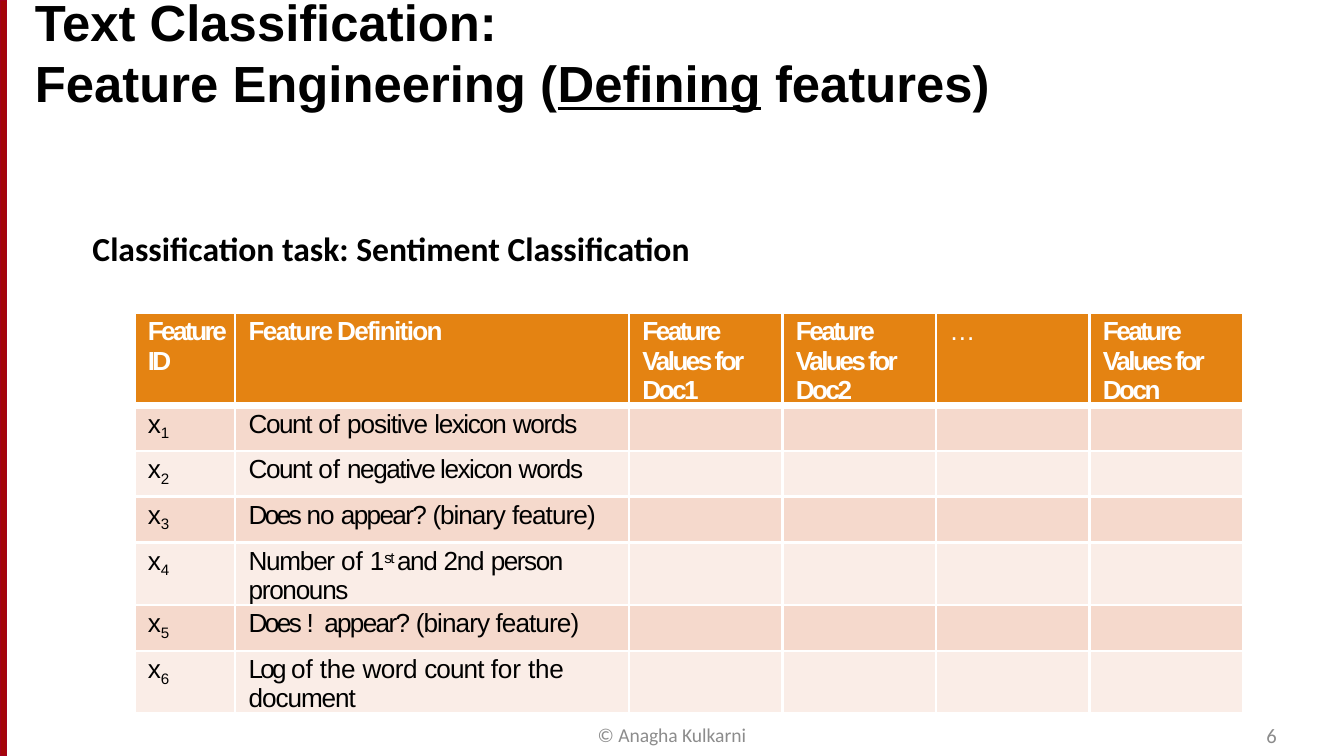
from pptx import Presentation
from pptx.util import Inches, Pt
from pptx.dml.color import RGBColor as Rgb
from pptx.enum.shapes import MSO_CONNECTOR as Link
from pptx.enum.text import MSO_ANCHOR as Anchor, MSO_AUTO_SIZE as Fit, PP_ALIGN as Align
from pptx.oxml.ns import qn
from lxml.etree import SubElement as Sub

WIDE = Inches(10)
HIGH = WIDE * 9 // 16
HEADS = [("Feature ID", -1.4), ("Feature Definition", -0.9),
         ("Feature Values for Doc1", -1.4), ("Feature Values for Doc2", -1.4),
         ("…", 0), ("Feature Values for Docn", -1.4)]
RULES = [
    [("Count ", -0.8), ("of ", -0.1), ("positive ", -0.6), ("lexicon ", -0.8),
     ("words", -0.7)],
    [("Count ", -0.8), ("of ", -0.1), ("negative lexicon ", -0.8), ("words", -0.7)],
    [("Does ", -1.4), ("no ", -0.6), ("appear? ", -0.9), ("(binary ", -0.6),
     ("feature)", -0.5)],
    [("Number ", -0.7), ("of ", -0.1), ("1", -0.6), ("st ", -0.9, 25),
     ("and ", -0.8), ("2nd ", -0.7), ("person ", -0.8), ("pronouns", -0.7)],
    [("Does ", -1.4), ("! ", 0.8), ("appear? ", -0.9), ("(binary feature)", -0.5)],
    [("Log ", -1.5), ("of ", -0.1), ("the ", -0.2), ("word ", -0.3),
     ("count ", -0.5), ("for ", -0.1), ("the ", -0.2), ("document", -0.6)],
]
SPAN = 8.25
WIDTHS = [0.75, 2.93] + [(SPAN - 0.75 - 2.93) / 4] * 4
BANDS = ["F5D9CC", "FAEDE7"]


def tint(code):
    return Rgb.from_string(code)


def add_run(para, text, size, face="Arial", color="000000", bold=False):
    run = para.add_run()
    run.text = text
    font = run.font
    font.size, font.name, font.bold = Pt(size), face, bold
    font.color.rgb = tint(color)
    return run


def set_pad(frame, left, top, right, bottom):
    frame.margin_left, frame.margin_top = Inches(left), Inches(top)
    frame.margin_right, frame.margin_bottom = Inches(right), Inches(bottom)


def add_title(slide):
    title = slide.shapes.title
    title.left, title.top = Inches(0.18), Inches(0.06)
    title.width, title.height = Inches(8.17), Inches(0.81)
    frame = title.text_frame
    set_pad(frame, 0.08, 0.04, 0.11, 0.03)
    frame.word_wrap, frame.auto_size = True, Fit.NONE
    frame.vertical_anchor = Anchor.BOTTOM
    first, second = frame.paragraphs[0], frame.add_paragraph()
    for para in (first, second):
        para.alignment = Align.LEFT
    add_run(first, "Text Classification:", 27.2, bold=True)
    for text in ("Feature Engineering (", "Defining", " features)"):
        run = add_run(second, text, 27.2, bold=True)
        run.font.underline = text == "Defining"


def add_label(slide, text, box, size, color="8C8C8C", align=Align.LEFT,
              bold=False, pad=(0, 0, 0, 0), wrap=True):
    frame = slide.shapes.add_textbox(*map(Inches, box)).text_frame
    frame.word_wrap = wrap
    set_pad(frame, *pad)
    para = frame.paragraphs[0]
    para.alignment = align
    add_run(para, text, size, "Calibri", color, bold)


def add_edge(slide):
    line = slide.shapes.add_connector(Link.STRAIGHT, Inches(0.02), 0,
                                      Inches(0.02), HIGH)
    line.line.color.rgb, line.line.width = tint("A40508"), Pt(3.6)
    Sub(line._element.spPr, qn("a:effectLst"))
    pen = slide.shapes.build_freeform(Inches(0.05), 0)
    pen.add_line_segments([(Inches(0.05), HIGH), (0, HIGH), (0, 0)])
    strip = pen.convert_to_shape()
    strip.shadow.inherit = False
    strip.fill.background()
    strip.line.color.rgb, strip.line.width = tint("A4001D"), Pt(0.75)


def style_cell(cell, fill, top, bottom):
    set_pad(cell, 0, 0.03, 0, 0)
    props = cell._tc.get_or_add_tcPr()
    for side, width in zip("LRTB", (1.5, 1.5, top, bottom)):
        line = Sub(props, qn(f"a:ln{side}"), w=str(Pt(width)))
        paint = Sub(line, qn("a:solidFill"))
        Sub(paint, qn("a:srgbClr"), val="FFFFFF")
    cell.fill.solid()
    cell.fill.fore_color.rgb = tint(fill)


def fill_cell(cell, parts, color="000000", bold=False):
    para = cell.text_frame.paragraphs[0]
    para.space_before = Pt(2.6)
    para._p.get_or_add_pPr().set("marL", str(Inches(0.1)))
    for text, gap, *base in parts:
        props = add_run(para, text, 14, "Arial", color, bold)._r.get_or_add_rPr()
        props.set("spc", str(round(gap * 100)))
        if base:
            props.set("baseline", str(base[0] * 1000))


def add_grid(slide):
    count = len(RULES) + 1
    grid = slide.shapes.add_table(count, len(WIDTHS), Inches(1), Inches(2.33),
                                  Inches(SPAN), Inches(0.34 * count)).table
    grid.first_row = grid.horz_banding = False
    for col, width in zip(grid.columns, WIDTHS):
        col.width = Inches(width)
    for num, row in enumerate(grid.rows):
        row.height = Inches(0.34)
        fill = BANDS[(num - 1) % 2] if num else "E48312"
        for cell in row.cells:
            style_cell(cell, fill, 4.25 if num == 1 else 1.5, 1.5 if num else 4.25)
    for col, head in enumerate(HEADS):
        fill_cell(grid.cell(0, col), [head], "FFFFFF", head[0] != "…")
    for num, rule in enumerate(RULES, 1):
        fill_cell(grid.cell(num, 0), [("x", -0.9), (str(num), -1.4, -21)])
        fill_cell(grid.cell(num, 1), rule)


def main():
    deck = Presentation()
    deck.slide_width, deck.slide_height = WIDE, HIGH
    slide = deck.slides.add_slide(deck.slide_layouts[5])
    add_edge(slide)
    add_grid(slide)
    add_label(slide, "Classification task: Sentiment Classification",
              (0.59, 1.65, 4.67, 0.4), 18, "000000", bold=True,
              pad=(0.1, 0.05, 0.1, 0.05), wrap=False)
    add_label(slide, "© Anagha Kulkarni", (3.4, 5.38, 3.2, 0.18), 10.5,
              align=Align.CENTER)
    add_label(slide, "6", (7.2, 5.38, 2.3, 0.19), 11, align=Align.RIGHT)
    add_title(slide)
    deck.save("out.pptx")


if __name__ == "__main__":
    main()
